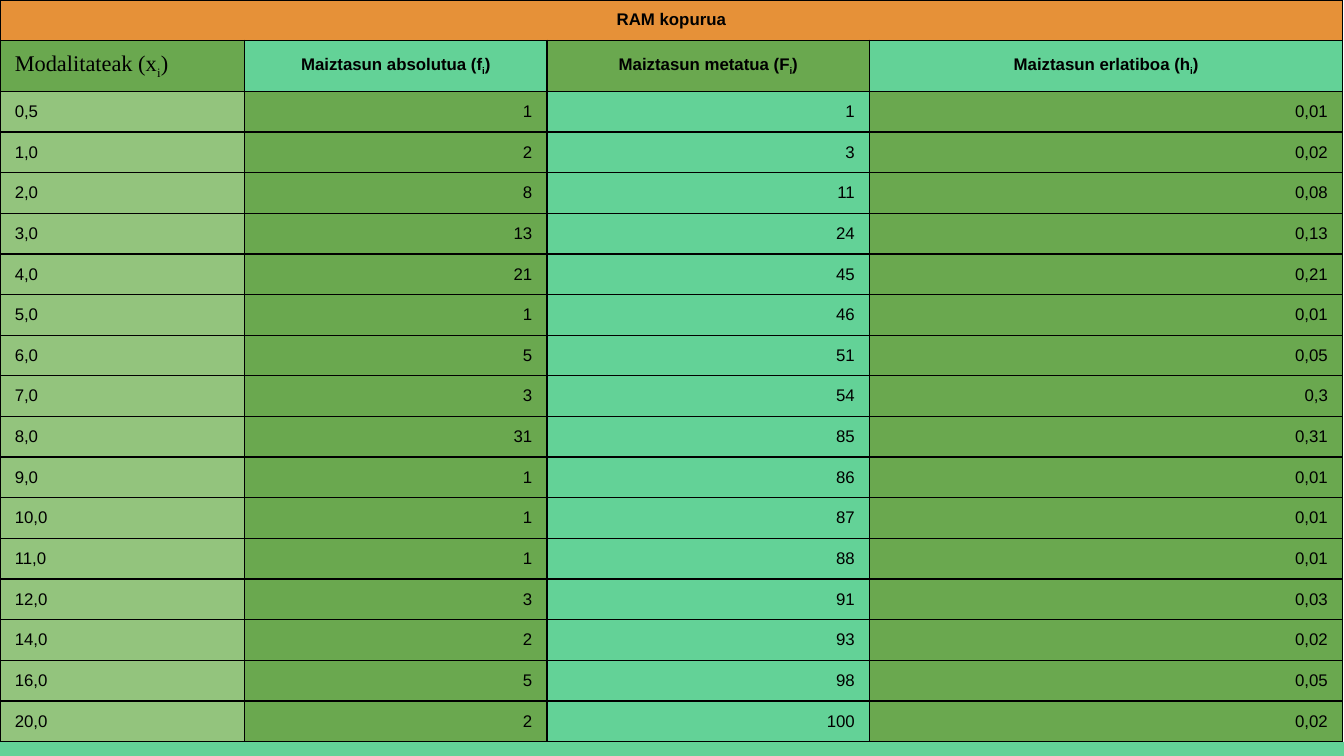
from lxml import etree
from pptx import Presentation
from pptx.dml.color import RGBColor
from pptx.enum.shapes import MSO_SHAPE
from pptx.enum.text import MSO_ANCHOR, PP_ALIGN
from pptx.oxml.ns import qn
from pptx.util import Inches, Pt

LEFT, CENTER, RIGHT = PP_ALIGN.LEFT, PP_ALIGN.CENTER, PP_ALIGN.RIGHT
MIDDLE = MSO_ANCHOR.MIDDLE
RECTANGLE = MSO_SHAPE.RECTANGLE

ORANGE, MINT, GREEN, LIGHT_GREEN, BLACK = "E69138", "63D297", "6AA84F", "93C47D", "000000"

TITLE = "RAM kopurua"
# Text before the subscript i, which is followed by a closing bracket
HEADERS = ["Modalitateak (x", "Maiztasun absolutua (f", "Maiztasun metatua (F", "Maiztasun erlatiboa (h"]
HEADER_FILLS = [GREEN, MINT, GREEN, MINT]
BODY_FILLS = [LIGHT_GREEN, GREEN, MINT, GREEN]
FREQUENCIES = [
    ("0,5", "1", "1", "0,01"),
    ("1,0", "2", "3", "0,02"),
    ("2,0", "8", "11", "0,08"),
    ("3,0", "13", "24", "0,13"),
    ("4,0", "21", "45", "0,21"),
    ("5,0", "1", "46", "0,01"),
    ("6,0", "5", "51", "0,05"),
    ("7,0", "3", "54", "0,3"),
    ("8,0", "31", "85", "0,31"),
    ("9,0", "1", "86", "0,01"),
    ("10,0", "1", "87", "0,01"),
    ("11,0", "1", "88", "0,01"),
    ("12,0", "3", "91", "0,03"),
    ("14,0", "2", "93", "0,02"),
    ("16,0", "5", "98", "0,05"),
    ("20,0", "2", "100", "0,02"),
]
COLUMN_WIDTHS = [1.82, 2.25, 2.4, 3.52]
TITLE_HEIGHT, HEADER_HEIGHT, TABLE_HEIGHT = 0.3, 0.38, 5.52
BODY_HEIGHT = (TABLE_HEIGHT - TITLE_HEIGHT - HEADER_HEIGHT) / len(FREQUENCIES)


def color(hex_string):
    return RGBColor.from_string(hex_string)


def format_cell(cell, parts, fill, align, bold=False, font="Arial", size=9):
    """Write the parts as runs, every second one as a subscript."""
    properties = cell._tc.get_or_add_tcPr()
    for side in ("a:lnL", "a:lnR", "a:lnT", "a:lnB"):
        line = etree.SubElement(properties, qn(side), w=str(Pt(0.75)))
        solid = etree.SubElement(line, qn("a:solidFill"))
        etree.SubElement(solid, qn("a:srgbClr"), val=BLACK)
    cell.fill.solid()
    cell.fill.fore_color.rgb = color(fill)
    cell.margin_left = cell.margin_right = Inches(0.07)
    cell.margin_top = cell.margin_bottom = Inches(0.07)
    cell.vertical_anchor = MIDDLE
    para = cell.text_frame.paragraphs[0]
    para.alignment = align
    for indent in ("marL", "marR"):
        para._p.get_or_add_pPr().set(indent, str(Inches(0.04)))
    for index, part in enumerate(parts):
        span = para.add_run()
        span.text = part
        span.font.name = font
        span.font.size = Pt(size)
        span.font.bold = bold
        span.font.color.rgb = color(BLACK)
        if index % 2:
            span.font._element.set("baseline", "-25000")


# Widescreen page, 16 to 9
deck = Presentation()
deck.slide_width = Inches(10)
deck.slide_height = Inches(10 * 9 / 16)
page = deck.slides.add_slide(deck.slide_layouts[6])

# Bottom band
band = page.shapes.add_shape(
    RECTANGLE, 0, Inches(TABLE_HEIGHT), deck.slide_width, deck.slide_height - Inches(TABLE_HEIGHT)
)
band.shadow.inherit = False
band.fill.solid()
band.fill.fore_color.rgb = color(MINT)
band.line.fill.background()

# Table grid
table = page.shapes.add_table(
    len(FREQUENCIES) + 2, len(COLUMN_WIDTHS), 0, 0, Inches(sum(COLUMN_WIDTHS)), Inches(TABLE_HEIGHT)
).table
table.first_row = table.horz_banding = False
for column, width in zip(table.columns, COLUMN_WIDTHS):
    column.width = Inches(width)
row_heights = [TITLE_HEIGHT, HEADER_HEIGHT] + [BODY_HEIGHT] * len(FREQUENCIES)
for row, height in zip(table.rows, row_heights):
    row.height = Inches(height)

# Title row
table.cell(0, 0).merge(table.cell(0, 3))
for index in range(len(COLUMN_WIDTHS)):
    format_cell(table.cell(0, index), [] if index else [TITLE], ORANGE, CENTER, bold=True)

# Header row
for index, (header, fill) in enumerate(zip(HEADERS, HEADER_FILLS)):
    cell, parts = table.cell(1, index), [header, "i", ")"]
    if index == 0:
        format_cell(cell, parts, fill, LEFT, font="Times New Roman", size=12)
    else:
        format_cell(cell, parts, fill, CENTER, bold=True)

# Frequency rows
for row_index, values in enumerate(FREQUENCIES, start=2):
    for index, (value, fill) in enumerate(zip(values, BODY_FILLS)):
        format_cell(table.cell(row_index, index), [value], fill, RIGHT if index else LEFT)

deck.save("out.pptx")
